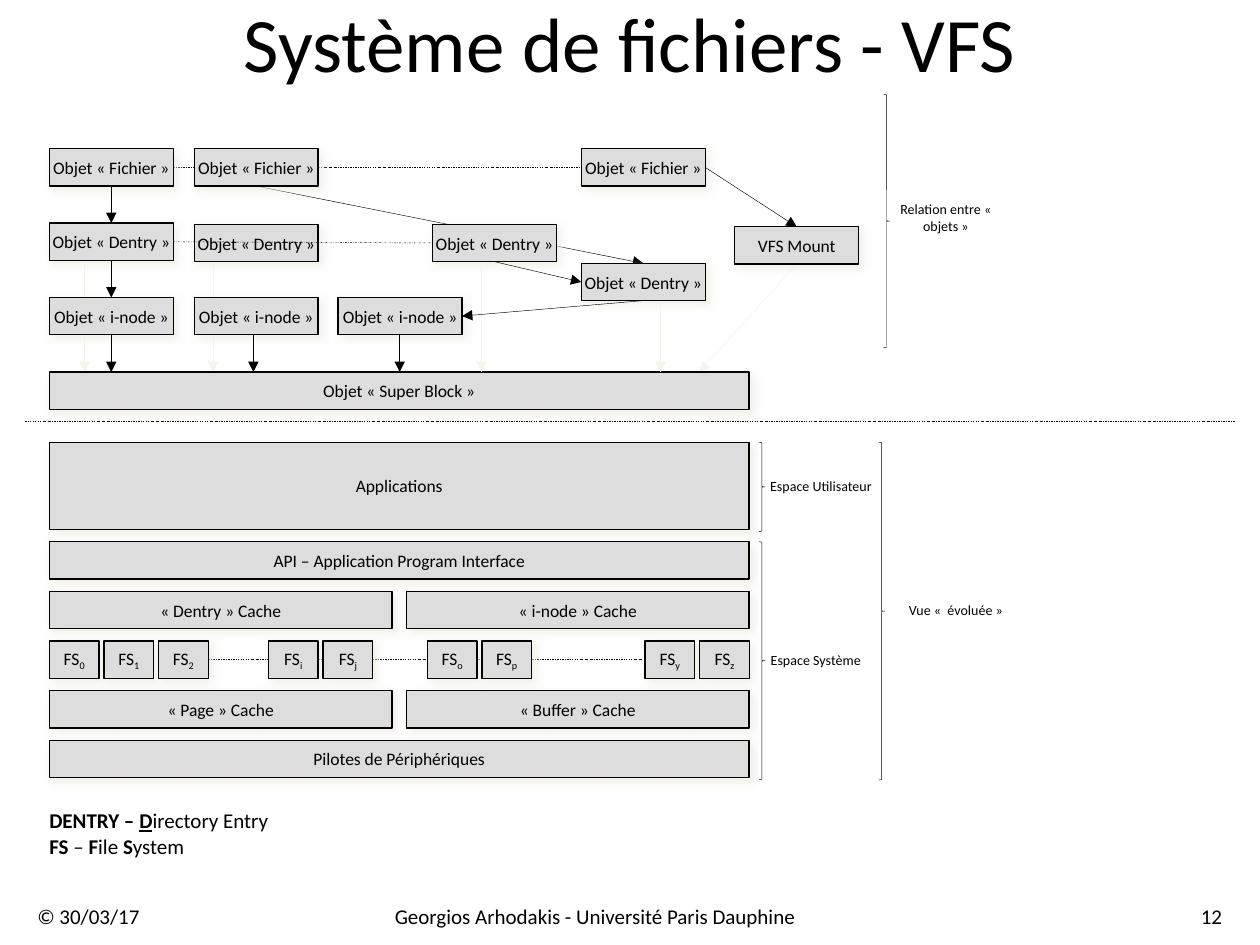
from lxml.etree import SubElement
from pptx import Presentation
from pptx.dml.color import RGBColor
from pptx.enum.dml import MSO_LINE
from pptx.enum.shapes import MSO_CONNECTOR, MSO_SHAPE
from pptx.enum.text import MSO_ANCHOR, MSO_AUTO_SIZE, PP_ALIGN
from pptx.oxml.ns import qn
from pptx.util import Pt

INK, GREY, PALE, WHITE, SHADE = "000000", "DDDDDD", "F5F4ED", "FFFFFF", "EEECE1"
LEFT, MID, RIGHT = PP_ALIGN.LEFT, PP_ALIGN.CENTER, PP_ALIGN.RIGHT
TOP, WEST, FOOT, EAST = range(4)
HIGH = 21.3  # height of a plain box
WIDE = 70.8  # width of an object box


def color(hexa):
    return RGBColor.from_string(hexa)


def write(frame, paras, size=10, align=MID, pad=(0, 0), grow=False):
    """Fill a frame; a paragraph is a string or (text, marks) runs: b, u, _ (subscript)."""
    frame.word_wrap = True
    frame.auto_size = MSO_AUTO_SIZE.SHAPE_TO_FIT_TEXT if grow else MSO_AUTO_SIZE.NONE
    frame.vertical_anchor = MSO_ANCHOR.MIDDLE
    frame.margin_left = frame.margin_right = Pt(pad[0])
    frame.margin_top = frame.margin_bottom = Pt(pad[1])
    for i, runs in enumerate(paras):
        para = frame.add_paragraph() if i else frame.paragraphs[0]
        para.alignment = align
        for words, marks in [(runs, "")] if isinstance(runs, str) else runs:
            run = para.add_run()
            run.text = words
            font = run.font
            font.name, font.size = "Calibri", Pt(size)
            font.color.rgb = color(INK)
            font.bold, font.underline = "b" in marks, "u" in marks
            if "_" in marks:
                run._r.get_or_add_rPr().set("baseline", "-25000")


def label(slide, x, y, w, h, *paras, **form):
    frame = slide.shapes.add_textbox(Pt(x), Pt(y), Pt(w), Pt(h)).text_frame
    write(frame, paras, **form)


def shape(slide, kind, x, y, w, h, fill, weight):
    item = slide.shapes.add_shape(kind, Pt(x), Pt(y), Pt(w), Pt(h))
    item.shadow.inherit = False
    item.fill.solid()
    item.fill.fore_color.rgb = color(fill)
    item.line.color.rgb = color(INK)
    item.line.width = Pt(weight)
    return item


def block(slide, x, y, w, h, words):
    """A grey box with text and a soft shadow."""
    item = shape(slide, MSO_SHAPE.FLOWCHART_PROCESS, x, y, w, h, GREY, 0.75)
    effect = item.element.spPr.find(qn("a:effectLst"))
    shadow = SubElement(effect, qn("a:outerShdw"), blurRad=str(Pt(5)),
                        dist=str(Pt(3)), dir="2700000", rotWithShape="0")
    tint = SubElement(shadow, qn("a:srgbClr"), val=SHADE)
    SubElement(tint, qn("a:alpha"), val="75000")
    write(item.text_frame, [words])
    return item


def brace(slide, x, y, h):
    shape(slide, MSO_SHAPE.RIGHT_BRACE, x, y, 3.6, h, WHITE, 0.25)


def link(slide, start, end, hue=INK, dash=False, back=False):
    """Join two ends, each an (x, y) point or a (box, side) pair."""
    spots = [Pt(v) if isinstance(v, (int, float)) else 0
             for pair in (start, end)
             for v in (pair if isinstance(pair[0], (int, float)) else (0, 0))]
    wire = slide.shapes.add_connector(MSO_CONNECTOR.STRAIGHT, *spots)
    for pair, join in ((start, wire.begin_connect), (end, wire.end_connect)):
        if not isinstance(pair[0], (int, float)):
            join(*pair)
    wire.line.color.rgb = color(hue)
    wire.line.width = Pt(0.25)
    if dash:
        wire.line.dash_style = MSO_LINE.DASH_DOT
    else:
        SubElement(wire.line._get_or_add_ln(), qn("a:tailEnd"), type="triangle")
    SubElement(wire.element.spPr, qn("a:effectLst"))
    if back:
        slide.shapes.element.insert(2, wire.element)


def objects(slide, x, y, w):
    """Relations between the VFS objects, above the super block."""
    def row(kind, dy, *lefts):
        return [block(slide, x + dx, y + dy, WIDE, HIGH, f"Objet « {kind} »")
                for dx in lefts]

    files = row("Fichier", 0, 0, 82.8, 304)
    entries = [row("Dentry", dy, dx)[0]
               for dx, dy in ((0, 42.5), (82.8, 43.2), (218.9, 43.2), (304, 65.5))]
    nodes = row("i-node", 85, 0, 82.8, 165)
    base = y + 127.6
    root = block(slide, x, base, w, HIGH, "Objet « Super Block »")
    mount = block(slide, x + 391.7, y + 44.6, WIDE, HIGH, "VFS Mount")

    link(slide, (files[0], EAST), (files[2], WEST), dash=True, back=True)
    link(slide, (files[1], FOOT), (entries[3], TOP), back=True)
    link(slide, (mount, FOOT), (x + 371.5, base), PALE, back=True)
    for dx in (20.2, 93.6):
        link(slide, (x + dx, y + 65.5), (x + dx, base), PALE, back=True)
    link(slide, (x + 247, y + 65.5), (x + 247, base), PALE)
    link(slide, (x + 349.3, y + 86.8), (x + 349.3, base), PALE)

    link(slide, (entries[0], EAST), (entries[2], WEST), dash=True)
    link(slide, (entries[2], FOOT), (entries[3], WEST))
    link(slide, (files[2], EAST), (mount, TOP))
    link(slide, (files[0], FOOT), (entries[0], TOP))
    link(slide, (entries[0], FOOT), (nodes[0], TOP))
    link(slide, (entries[3], FOOT), (nodes[2], EAST))
    for dx in (35.4, 116.6, 200.2):
        link(slide, (x + dx, y + 85 + HIGH), (x + dx, base))

    brace(slide, x + 476.6, y - 31, 144.7)
    label(slide, x + 485.3, y + 29.5, 54, 19.4, "Relation entre « objets »",
          size=8, grow=True)


def layers(slide, x, y, w):
    """The stack of layers, from the applications down to the drivers."""
    step, half = 28.35, 195.8
    rows = [y + 56.9 + step * i for i in range(5)]
    block(slide, x, y, w, 49.7, "Applications")
    block(slide, x, rows[0], w, HIGH, "API – Application Program Interface")
    for top, pair in ((rows[1], ("« Dentry » Cache", "« i-node » Cache")),
                      (rows[3], ("« Page » Cache", "« Buffer » Cache"))):
        for dx, words in zip((0, w - half), pair):
            block(slide, x + dx, top, half, HIGH, words)
    block(slide, x, rows[4], w, HIGH, "Pilotes de Périphériques")

    boxes = {}
    for dx, names in ((0, "012"), (125.2, "ij"), (216, "op"), (340.4, "yz")):
        for i, name in enumerate(names):
            boxes[name] = block(slide, x + dx + 31.2 * i, rows[2], 28.4, HIGH,
                                [("FS", ""), (name, "_")])
    link(slide, (boxes["2"], EAST), (boxes["y"], WEST), dash=True, back=True)

    brace(slide, x + 405.4, y, 51)
    brace(slide, x + 405.4, rows[0], 136)
    brace(slide, x + 473.8, y, 193)
    for dx, dy, wide, words in ((411, 20.2, 60, "Espace Utilisateur"),
                                (411, 119.5, 54, "Espace Système"),
                                (485.3, 90.7, 65.5, "Vue «  évoluée »")):
        label(slide, x + dx, y + dy, wide, 9.7, words, size=8, grow=True)


def legend(slide, x, y):
    label(slide, x, y, 153.4, 29,
          [("DENTRY – ", "b"), ("D", "bu"), ("irectory Entry", "")],
          [("FS", "b"), (" – ", ""), ("F", "b"), ("ile ", ""), ("S", "b"), ("ystem", "")],
          size=12, align=LEFT, grow=True)


def footer(slide, x, y):
    for dx, w, words, align in (
            (0, 85, "© 30/03/17", LEFT),
            (85, 481.7, "Georgios Arhodakis - Université Paris Dauphine", MID),
            (663.1, 28.1, "12", RIGHT)):
        label(slide, x + dx, y, w, 14.4, words, size=12, align=align, pad=(7.2, 3.6))


def heading(slide, x, y, w, h):
    title = slide.shapes.title
    title.left, title.top, title.width, title.height = map(Pt, (x, y, w, h))
    write(title.text_frame, ["Système de fichiers - VFS"], size=44, grow=True)


def main():
    deck = Presentation()
    deck.slide_width, deck.slide_height = Pt(720), Pt(540)
    slide = deck.slides.add_slide(deck.slide_layouts[5])
    heading(slide, 0, 0, 720, 48.2)
    objects(slide, 28.2, 85, 399.8)
    link(slide, (14.2, 241), (705.8, 241), dash=True)
    layers(slide, 28.2, 252.7, 399.8)
    legend(slide, 28.2, 461.5)
    footer(slide, 14.2, 516.2)
    deck.save("out.pptx")


if __name__ == "__main__":
    main()
